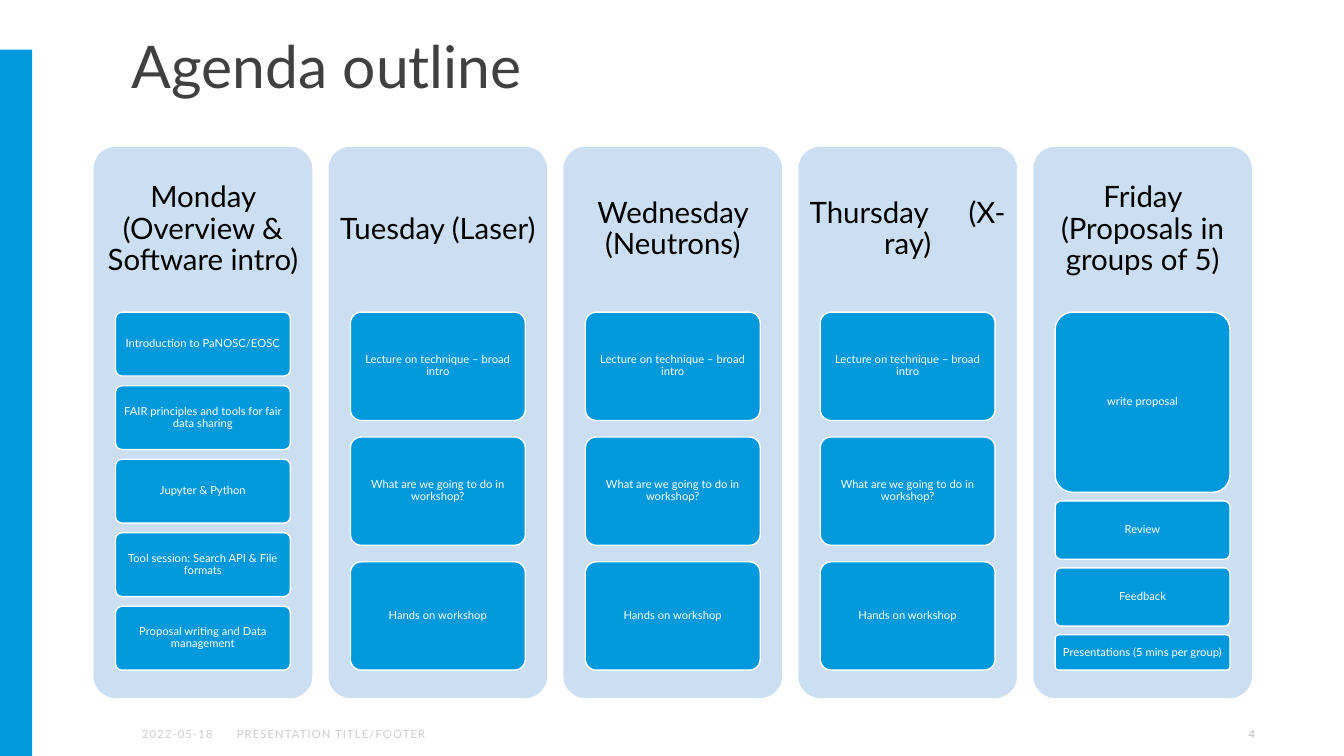
from dataclasses import dataclass

from pptx import Presentation
from pptx.dml.color import RGBColor
from pptx.enum.shapes import MSO_SHAPE
from pptx.enum.text import MSO_ANCHOR, MSO_AUTO_SIZE, PP_ALIGN
from pptx.util import Cm, Pt

# Content
TITLE = "Agenda outline"
SIDEBAR = (0, 1.25, 0.81, 17.8)  # left, top, width, height in cm
TITLE_BOX = (3.07, 0.81, 26.01, 1.83)

LASER_STYLE_DAY = [
    ("Lecture on technique – broad intro", 2.73),
    ("What are we going to do in workshop?", 2.73),
    ("Hands on workshop", 2.73),
]
# Day heading as (text, letter spacing in pt) runs; sessions as (text, height in cm)
DAYS = [
    ([("Monday (Overview & Software intro)", 0)], [
        ("Introduction to PaNOSC/EOSC", 1.61),
        ("FAIR principles and tools for fair data sharing", 1.61),
        ("Jupyter & Python", 1.61),
        ("Tool session: Search API & File formats", 1.61),
        ("Proposal writing and Data management", 1.61),
    ]),
    ([("Tuesday (Laser)", 0)], LASER_STYLE_DAY),
    ([("Wednesday (Neutrons)", 0)], LASER_STYLE_DAY),
    ([("Thursday", 0), (" ", 23), ("(X-ray)", 0)], LASER_STYLE_DAY),
    ([("Friday (Proposals in groups of 5)", 0)], [
        ("write proposal", 4.54),
        ("Review", 1.47),
        ("Feedback", 1.47),
        ("Presentations (5 mins per group)", 0.89),
    ]),
]
# Text, left and width in cm, alignment, bold, letter spacing in pt
FOOTER = [
    ("2022-05-18", 3.33, 2.31, PP_ALIGN.LEFT, False, 0.8),
    ("PRESENTATION TITLE/FOOTER", 5.72, 11.99, PP_ALIGN.LEFT, False, 0.8),
    ("4", 24.26, 7.62, PP_ALIGN.RIGHT, True, 0),
]

# Layout in cm
COLUMN_LEFT, COLUMN_TOP, COLUMN_PITCH = 2.36, 3.7, 5.92
COLUMN_WIDTH, COLUMN_HEIGHT = 5.51, 13.89
HEADING_HEIGHT = 0.3 * COLUMN_HEIGHT
SESSION_INSET = 0.1 * COLUMN_WIDTH
SESSIONS_TOP, SESSIONS_HEIGHT = COLUMN_TOP + HEADING_HEIGHT, 9.02
FOOTER_TOP, FOOTER_HEIGHT = 17.98, 1.02


@dataclass(frozen=True)
class Theme:
    font: str = "Lato"
    accent: str = "0099DC"
    column: str = "CCDEF2"
    white: str = "FFFFFF"
    heading: str = "000000"
    title: str = "404040"
    footer: str = "CCCCCC"
    title_size: int = 42
    heading_size: int = 21
    small_size: int = 8


THEME = Theme()


def apply(target, formats):
    for attribute, value in formats.items():
        setattr(target, attribute, value)


def write(shape, runs, size, color, align, anchor=MSO_ANCHOR.MIDDLE,
          margins=(0.25, 0.13, 0.25, 0.13), line_spacing=0.9, bold=False):
    left, top, right, bottom = map(Cm, margins)
    frame = shape.text_frame
    apply(frame, {
        "word_wrap": True, "auto_size": MSO_AUTO_SIZE.NONE,
        "vertical_anchor": anchor, "margin_left": left, "margin_top": top,
        "margin_right": right, "margin_bottom": bottom,
    })
    paragraph = frame.paragraphs[0]
    apply(paragraph, {"alignment": align, "line_spacing": line_spacing})
    for text, spacing in runs:
        run = paragraph.add_run()
        run.text = text
        apply(run.font, {"name": THEME.font, "size": Pt(size), "bold": bold})
        run.font.color.rgb = RGBColor.from_string(color)
        if spacing:
            run.font._element.set("spc", str(round(spacing * 100)))


def add_block(slide, kind, box, fill, border=None):
    block = slide.shapes.add_shape(kind, *map(Cm, box))
    block.shadow.inherit = False
    block.fill.solid()
    block.fill.fore_color.rgb = RGBColor.from_string(fill)
    if kind == MSO_SHAPE.ROUNDED_RECTANGLE:
        block.adjustments[0] = 0.1
    if border:
        block.line.color.rgb = RGBColor.from_string(border)
        block.line.width = Pt(1)
    else:
        block.line.fill.background()
    return block


def add_day(slide, left, heading_runs, sessions):
    # Column and heading
    add_block(slide, MSO_SHAPE.ROUNDED_RECTANGLE,
              (left, COLUMN_TOP, COLUMN_WIDTH, COLUMN_HEIGHT), THEME.column)
    heading = slide.shapes.add_textbox(
        *map(Cm, (left, COLUMN_TOP, COLUMN_WIDTH, HEADING_HEIGHT)))
    write(heading, heading_runs, THEME.heading_size, THEME.heading,
          PP_ALIGN.CENTER, margins=(0.23,) * 4)

    # Sessions share the remaining height with equal gaps
    used = sum(height for _, height in sessions)
    gap = (SESSIONS_HEIGHT - used) / (len(sessions) - 1)
    top = SESSIONS_TOP
    for text, height in sessions:
        session = add_block(
            slide, MSO_SHAPE.ROUNDED_RECTANGLE,
            (left + SESSION_INSET, top, COLUMN_WIDTH - 2 * SESSION_INSET, height),
            THEME.accent, THEME.white)
        write(session, [(text, 0)], THEME.small_size, THEME.white,
              PP_ALIGN.CENTER, margins=(0.05,) * 4)
        top += height + gap


def main():
    presentation = Presentation()
    apply(presentation, {"slide_width": Cm(33.87), "slide_height": Cm(19.05)})
    slide = presentation.slides.add_slide(presentation.slide_layouts[5])

    # Sidebar and title
    add_block(slide, MSO_SHAPE.RECTANGLE, SIDEBAR, THEME.accent)
    title = slide.shapes.title
    apply(title, dict(zip(("left", "top", "width", "height"), map(Cm, TITLE_BOX))))
    write(title, [(TITLE, 0)], THEME.title_size, THEME.title, PP_ALIGN.LEFT,
          MSO_ANCHOR.TOP, margins=(0.25, 0.13, 0.25, 0.05))

    # Days
    for index, (heading_runs, sessions) in enumerate(DAYS):
        add_day(slide, COLUMN_LEFT + index * COLUMN_PITCH, heading_runs, sessions)

    # Footer
    for text, left, width, align, bold, spacing in FOOTER:
        note = slide.shapes.add_textbox(
            *map(Cm, (left, FOOTER_TOP, width, FOOTER_HEIGHT)))
        write(note, [(text, spacing)], THEME.small_size, THEME.footer, align,
              line_spacing=1.0, bold=bold)

    presentation.save("out.pptx")


if __name__ == "__main__":
    main()
